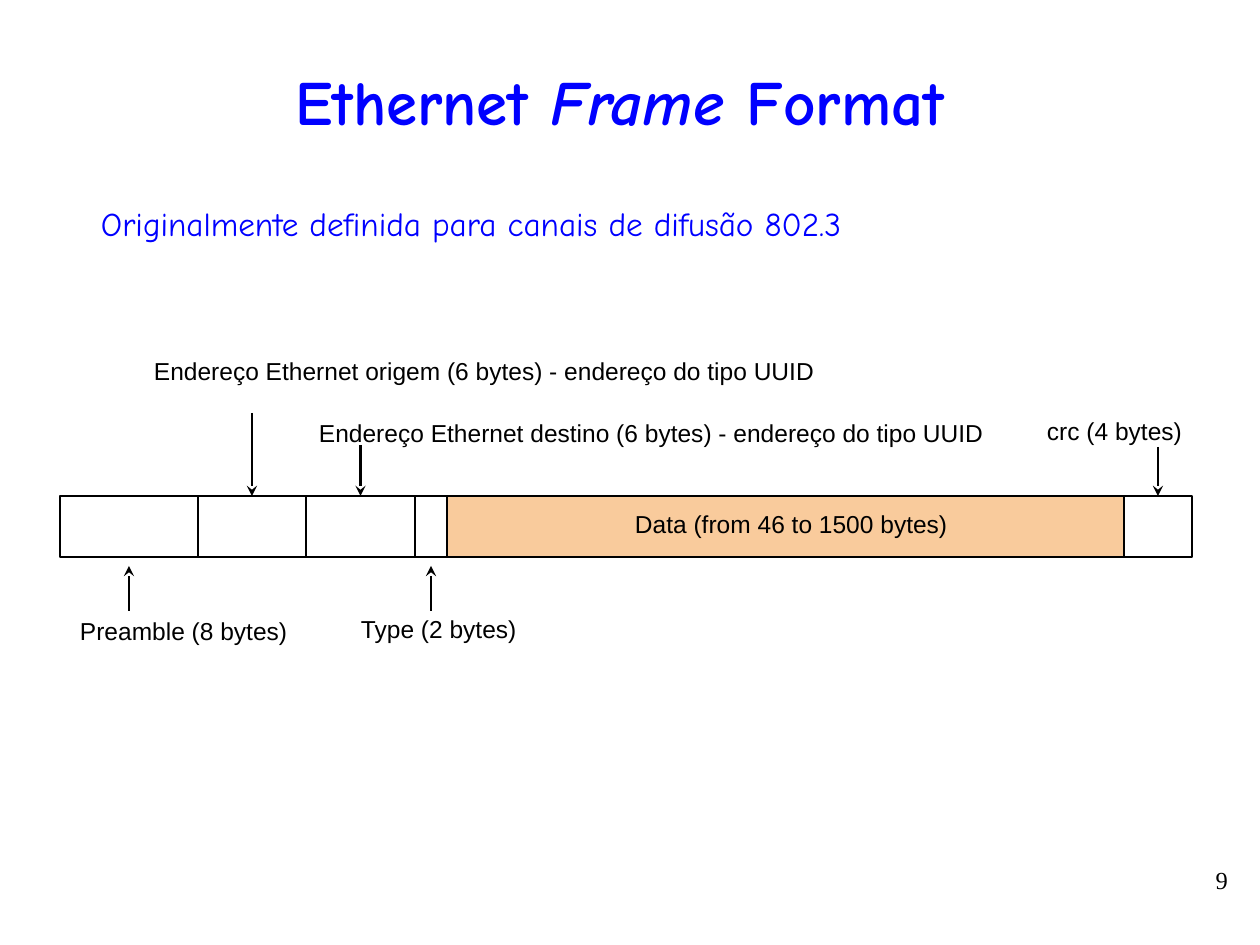
from dataclasses import dataclass
from itertools import pairwise

from lxml import etree
from pptx import Presentation
from pptx import util as u
from pptx.dml.color import RGBColor
from pptx.enum import shapes, text
from pptx.oxml import ns

EMU_PER_PX = 914400 / 126


def px(length):
    return u.Emu(round(length * EMU_PER_PX))


@dataclass(frozen=True)
class Theme:
    heading: str = "0000FF"
    ink: str = "000000"
    payload: str = "F9CB9C"
    display_font: str = "Comic Neue"
    label_font: str = "Arial"
    number_font: str = "Times New Roman"
    title_size: int = 36
    subtitle_size: int = 19
    label_size: int = 14
    line_width: float = 1.5


def write_text(shape, spans, *, font, size, color, bold=False, spacing=None,
               align=text.PP_ALIGN.LEFT, anchor=text.MSO_ANCHOR.TOP,
               inset_top=6, inset_bottom=6):
    frame = shape.text_frame
    frame.word_wrap = True
    frame.auto_size = text.MSO_AUTO_SIZE.NONE
    frame.vertical_anchor = anchor
    frame.margin_left = frame.margin_right = px(13)
    frame.margin_top, frame.margin_bottom = px(inset_top), px(inset_bottom)
    para = frame.paragraphs[0]
    para.alignment = align
    para.line_spacing = spacing
    for content, italic in spans:
        span = para.add_run()
        span.text = content
        span.font.name = font
        span.font.size = u.Pt(size)
        span.font.bold = bold
        span.font.italic = italic
        span.font.color.rgb = RGBColor.from_string(color)


class FrameSlide:
    def __init__(self, deck, theme):
        self.theme = theme
        self.page = deck.slides.add_slide(deck.slide_layouts[5])

    def title(self, spans, left, top, width, height):
        box = self.page.shapes.title
        box.left, box.top, box.width, box.height = map(px, (left, top, width, height))
        write_text(box, spans, font=self.theme.display_font, size=self.theme.title_size,
                   color=self.theme.heading, bold=True,
                   align=text.PP_ALIGN.CENTER, anchor=text.MSO_ANCHOR.MIDDLE)

    def text_box(self, content, left, top, width, height, **style):
        box = self.page.shapes.add_textbox(*map(px, (left, top, width, height)))
        write_text(box, [(content, False)], **style)

    def label(self, content, left, top, width):
        self.text_box(content, left, top, width, 60, font=self.theme.label_font,
                      size=self.theme.label_size, color=self.theme.ink,
                      inset_top=13, inset_bottom=13)

    def field(self, left, right, top, height, fill=None):
        cell = self.page.shapes.add_shape(
            shapes.MSO_SHAPE.RECTANGLE, *map(px, (left, top, right - left, height)))
        cell.shadow.inherit = False
        if fill:
            cell.fill.solid()
            cell.fill.fore_color.rgb = RGBColor.from_string(fill)
        else:
            cell.fill.background()
        self.stroke(cell.line)
        return cell

    def stroke(self, line):
        line.color.rgb = RGBColor.from_string(self.theme.ink)
        line.width = u.Pt(self.theme.line_width)

    def arrow(self, cell, start, end=None):
        middle = cell.left + cell.width // 2
        tip = cell.top if end is None else px(end)
        arrow = self.page.shapes.add_connector(
            shapes.MSO_CONNECTOR.STRAIGHT, middle, px(start), middle, tip)
        if end is None:
            arrow.end_connect(cell, 0)
        self.stroke(arrow.line)
        etree.SubElement(arrow.line._get_or_add_ln(), ns.qn("a:tailEnd"), type="stealth")
        etree.SubElement(arrow._element.spPr, ns.qn("a:effectLst"))


def main():
    theme = Theme()
    deck = Presentation()
    deck.slide_width, deck.slide_height = px(1260), px(945)
    slide = FrameSlide(deck, theme)

    slide.title([("Ethernet ", False), ("Frame", True), (" Format", False)],
                42, 53, 1155, 95)
    slide.text_box("Originalmente definida para canais de difusão 802.3",
                   88, 147, 1062, 186, font=theme.display_font,
                   size=theme.subtitle_size, color=theme.heading,
                   spacing=1.15, inset_top=50)

    names = ["preamble", "source", "destination", "type", "data", "crc"]
    edges = [60, 198, 306, 415, 447, 1124, 1192]
    fields = {
        name: slide.field(left, right, 496, 61, theme.payload if name == "data" else None)
        for name, (left, right) in zip(names, pairwise(edges))
    }

    for content, left, top, width in [
        ("Endereço Ethernet origem (6 bytes) - endereço do tipo UUID", 141, 343, 745),
        ("Endereço Ethernet destino (6 bytes) - endereço do tipo UUID", 306, 405, 706),
        ("crc (4 bytes)", 1034, 403, 165),
        ("Data (from 46 to 1500 bytes)", 622, 496, 354),
        ("Preamble (8 bytes)", 67, 603, 264),
        ("Type (2 bytes)", 348, 601, 199),
    ]:
        slide.label(content, left, top, width)

    for name, start in [("source", 413), ("destination", 445), ("crc", 447)]:
        slide.arrow(fields[name], start)
    for name in ("preamble", "type"):
        slide.arrow(fields[name], 611, 566)

    slide.text_box("9", 948, 859, 293, 66, font=theme.number_font,
                   size=theme.label_size, color=theme.ink, align=text.PP_ALIGN.RIGHT)
    deck.save("out.pptx")


if __name__ == "__main__":
    main()
